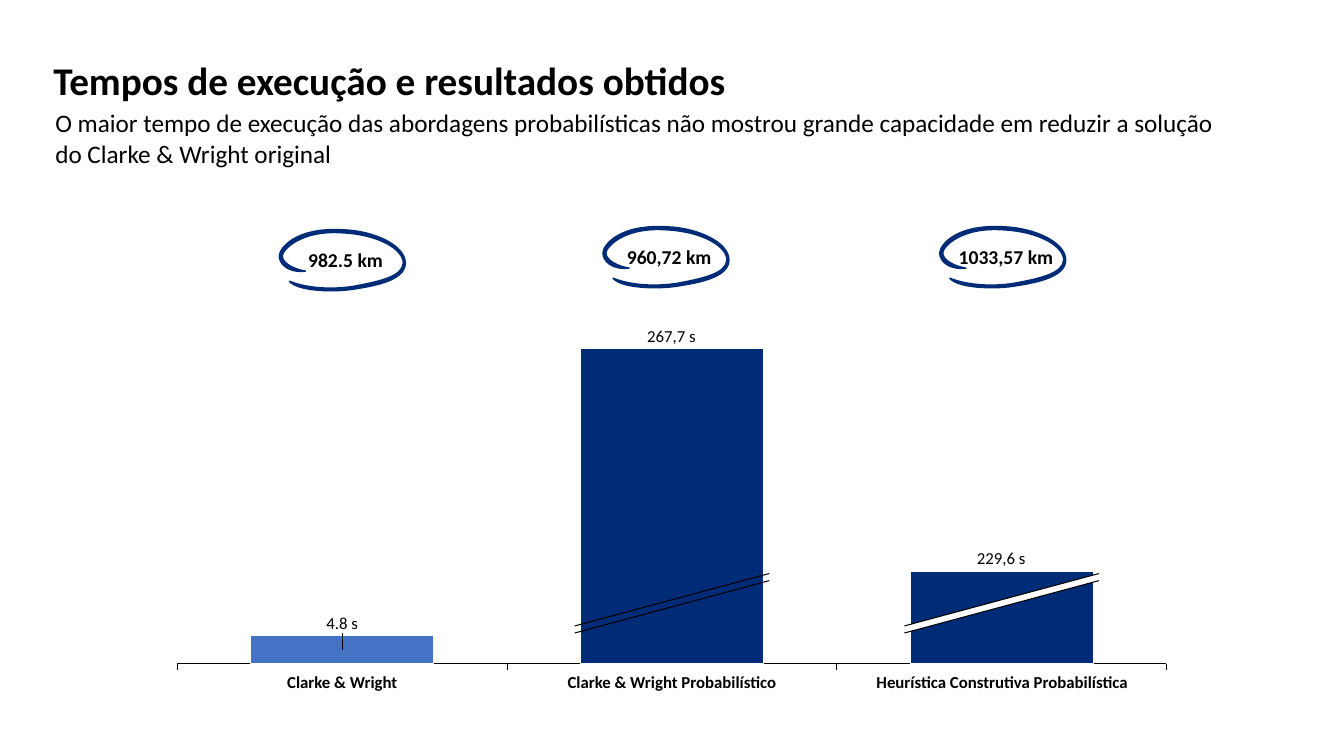
import pptx
import pptx.chart.data
import pptx.dml.color
import pptx.enum.chart
import pptx.enum.shapes
import pptx.enum.text
import pptx.oxml
import pptx.util

Inches = pptx.util.Inches
Pt = pptx.util.Pt
FONT = "Calibri"
NAVY, BLUE, BLACK, WHITE = "002C77", "4472C4", "000000", "FFFFFF"
ALIGN = pptx.enum.text.PP_ALIGN
ANCHOR = pptx.enum.text.MSO_ANCHOR
CHART_NS = 'xmlns:c="http://schemas.openxmlformats.org/drawingml/2006/chart"'
DRAW = "{http://schemas.openxmlformats.org/drawingml/2006/main}"

# Hand-drawn loop: start point, then cubic curves, relative to its corner
LOOP_START = (0.26, 0.41)
LOOP_HIGH = 0.61
LOOP = [
    ((0.14, 0.39), (0.03, 0.33), (0.03, 0.26)),
    ((0.03, 0.2), (0.21, 0), (0.63, 0.03)),
    ((1, 0.05), (1.23, 0.2), (1.23, 0.33)),
    ((1.22, 0.46), (1.01, 0.51), (0.74, 0.56)),
    ((0.56, 0.59), (0.3, 0.59), (0.1, 0.51)),
    ((0.18, 0.61), (0.54, 0.62), (0.73, 0.59)),
    ((0.92, 0.56), (1.25, 0.51), (1.25, 0.33)),
    ((1.25, 0.15), (0.93, 0.01), (0.64, 0)),
    ((0.15, -0.03), (0, 0.19), (0, 0.26)),
    ((0, 0.34), (0.09, 0.43), (0.26, 0.41)),
]


def color(code):
    return pptx.dml.color.RGBColor.from_string(code)


def text(slide, box, words, size=12, bold=False, align=ALIGN.CENTER,
         anchor=ANCHOR.TOP, pad=(0.1, 0.05), wrap=True, space=1.0):
    frame = slide.shapes.add_textbox(*map(Inches, box)).text_frame
    frame.word_wrap = wrap
    frame.vertical_anchor = anchor
    frame.margin_left = frame.margin_right = Inches(pad[0])
    frame.margin_top = frame.margin_bottom = Inches(pad[1])
    para = frame.paragraphs[0]
    para.alignment = align
    para.line_spacing = space
    run = para.add_run()
    run.text = words
    run.font.name = FONT
    run.font.size = Pt(size)
    run.font.bold = bold
    run.font.color.rgb = color(BLACK)


def shape(slide, points, fill, line=None):
    spots = [(Inches(x), Inches(y)) for x, y in points]
    pen = slide.shapes.build_freeform(*spots[0])
    pen.add_line_segments(spots[1:], close=True)
    form = pen.convert_to_shape()
    form.shadow.inherit = False
    form.fill.solid()
    form.fill.fore_color.rgb = color(fill)
    if line:
        form.line.color.rgb = color(line)
        form.line.width = Pt(1)
    else:
        form.line.fill.background()
    return form


def loop(slide, left, top):
    """Draw the loop through its end points, then bend each segment."""
    ends = [LOOP_START] + [part[-1] for part in LOOP]
    form = shape(slide, [(left + x, top + y) for x, y in ends], NAVY, NAVY)
    form.height = Inches(LOOP_HIGH)
    outline = form._element.xpath(".//a:path")[0]
    outline.set("h", str(Inches(LOOP_HIGH)))
    for part, side in zip(LOOP, outline.xpath("a:lnTo")):
        bend = outline.makeelement(DRAW + "cubicBezTo")
        for x, y in part:
            bend.append(bend.makeelement(
                DRAW + "pt", {"x": str(Inches(x)), "y": str(Inches(y))}))
        outline.replace(side, bend)


def badge(slide, left, top, words):
    loop(slide, left, top)
    text(slide, (left, top + 0.13, 1.36, 0.34), words, size=14, bold=True)


def rule(slide, left, top):
    line = slide.shapes.add_connector(
        pptx.enum.shapes.MSO_CONNECTOR.STRAIGHT,
        Inches(left), Inches(top + 0.52), Inches(left + 1.93), Inches(top))
    line.line.color.rgb = color(BLACK)
    line.line.width = Pt(0.75)
    props = line._element.spPr
    props.append(props.makeelement(DRAW + "effectLst"))


def gap(slide, left, fill=None):
    """Draw the slanted axis break over a bar."""
    if fill:
        right = left + 1.93
        shape(slide, [(left, 6.21), (right, 5.69),
                      (right, 5.76), (left, 6.28)], fill)
    for top in (5.69, 5.76):
        rule(slide, left, top)


def label(series):
    """Show the first value above its bar, with a leader line."""
    off = "".join(f'<c:{name} val="0"/>' for name in
                  ("showCatName", "showSerName", "showPercent", "showBubbleSize"))
    xml = f"""<c:dLbls {CHART_NS}
      xmlns:a="http://schemas.openxmlformats.org/drawingml/2006/main">
      <c:dLbl><c:idx val="0"/>
        <c:layout><c:manualLayout><c:x val="0"/><c:y val="-0.08"/></c:manualLayout></c:layout>
        <c:numFmt formatCode="0.0&quot; s&quot;" sourceLinked="0"/>
        <c:spPr><a:noFill/><a:ln><a:noFill/></a:ln></c:spPr>
        <c:txPr><a:bodyPr/><a:p><a:pPr><a:defRPr sz="1200" b="0">
          <a:solidFill><a:srgbClr val="{BLACK}"/></a:solidFill>
          <a:latin typeface="{FONT}"/></a:defRPr></a:pPr></a:p></c:txPr>
        <c:dLblPos val="ctr"/><c:showLegendKey val="0"/><c:showVal val="1"/>{off}
      </c:dLbl>
      <c:showLegendKey val="0"/><c:showVal val="0"/>{off}
      <c:extLst><c:ext uri="{{CE6537A1-D6FC-4f65-9D91-7224C49458BB}}"
        xmlns:c15="http://schemas.microsoft.com/office/drawing/2012/chart">
        <c15:showLeaderLines val="1"/></c:ext></c:extLst>
    </c:dLbls>"""
    series._element.xpath("c:cat")[0].addprevious(pptx.oxml.parse_xml(xml))


def layout(chart):
    """Fix the inner plot area inside the chart frame."""
    area = chart._chartSpace.xpath("c:chart/c:plotArea")[0]
    for old in area.xpath("c:layout"):
        area.remove(old)
    area.insert(0, pptx.oxml.parse_xml(
        f"""<c:layout {CHART_NS}><c:manualLayout><c:layoutTarget val="inner"/>
        <c:xMode val="edge"/><c:yMode val="edge"/><c:x val="0.009"/><c:y val="0.027"/>
        <c:w val="0.982"/><c:h val="0.945"/></c:manualLayout></c:layout>"""))


def bars(slide, box):
    kind = pptx.enum.chart
    data = pptx.chart.data.CategoryChartData()
    data.categories = ["1", "2", "3"]
    data.add_series("Series 1", [4.8, 53.9, 15.8])
    chart = slide.shapes.add_chart(
        kind.XL_CHART_TYPE.COLUMN_STACKED, *map(Inches, box), data).chart
    chart.has_legend = chart.has_title = False
    chart.font.name = FONT
    chart.font.size = Pt(10)
    chart.font.color.rgb = color(BLACK)
    plot = chart.plots[0]
    plot.gap_width, plot.overlap = 80, 100
    plot.vary_by_categories = False

    # Axes
    value = chart.value_axis
    value.visible = value.has_major_gridlines = False
    value.minimum_scale, value.maximum_scale = 0, 53.9
    base = chart.category_axis
    base.tick_label_position = kind.XL_TICK_LABEL_POSITION.NONE
    base.major_tick_mark = kind.XL_TICK_MARK.OUTSIDE
    base.format.line.color.rgb = color(BLACK)
    base.format.line.width = Pt(0.75)

    # Bar colours
    series = plot.series[0]
    for part, fill in ((series, NAVY), (series.points[0], BLUE)):
        part.format.fill.solid()
        part.format.fill.fore_color.rgb = color(fill)
        part.format.line.color.rgb = color(WHITE)
        part.format.line.width = Pt(0.75)
    label(series)
    layout(chart)


def main():
    deck = pptx.Presentation()
    deck.slide_width, deck.slide_height = Inches(13.33), Inches(7.5)
    slide = deck.slides.add_slide(deck.slide_layouts[6])

    # Heading
    text(slide, (0.43, 0.43, 12.12, 0.78), "Tempos de execução e resultados obtidos",
         size=28, bold=True, align=ALIGN.LEFT, anchor=ANCHOR.MIDDLE, space=0.9)
    text(slide, (0.45, 1.02, 11.88, 0.71),
         "O maior tempo de execução das abordagens probabilísticas não mostrou "
         "grande capacidade em reduzir a solução do Clarke & Wright original",
         size=18, align=ALIGN.LEFT)

    # Chart with axis breaks
    bars(slide, (1.67, 3.37, 9.99, 3.31))
    gap(slide, 8.97, WHITE)
    gap(slide, 5.7)

    # Category names and run times
    for left, width, name in ((2.84, 1.11, "Clarke & Wright"),
                              (5.62, 2.09, "Clarke & Wright Probabilístico"),
                              (8.68, 2.52, "Heurística Construtiva Probabilística")):
        text(slide, (left, 6.69, width, 0.18), name, bold=True,
             pad=(0, 0), wrap=False, space=0.9)
    for left, top, time in ((6.39, 3.25, "267,7 s"), (9.66, 5.46, "229,6 s")):
        text(slide, (left, top, 0.54, 0.18), time, anchor=ANCHOR.BOTTOM,
             pad=(0, 0), wrap=False, space=0.9)

    # Circled distances
    badge(slide, 2.77, 2.28, "982.5 km ")
    badge(slide, 5.98, 2.25, "960,72 km ")
    badge(slide, 9.32, 2.25, "1033,57 km ")

    deck.save("out.pptx")


if __name__ == "__main__":
    main()
